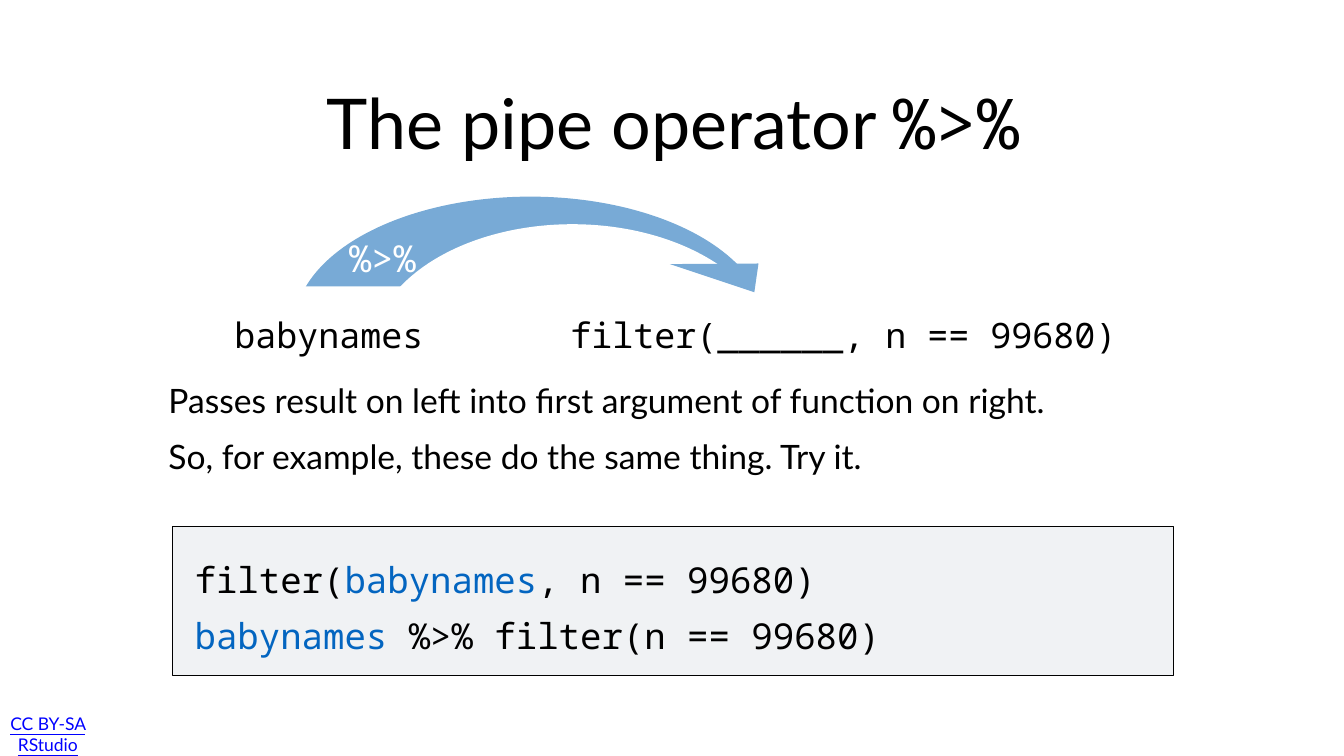
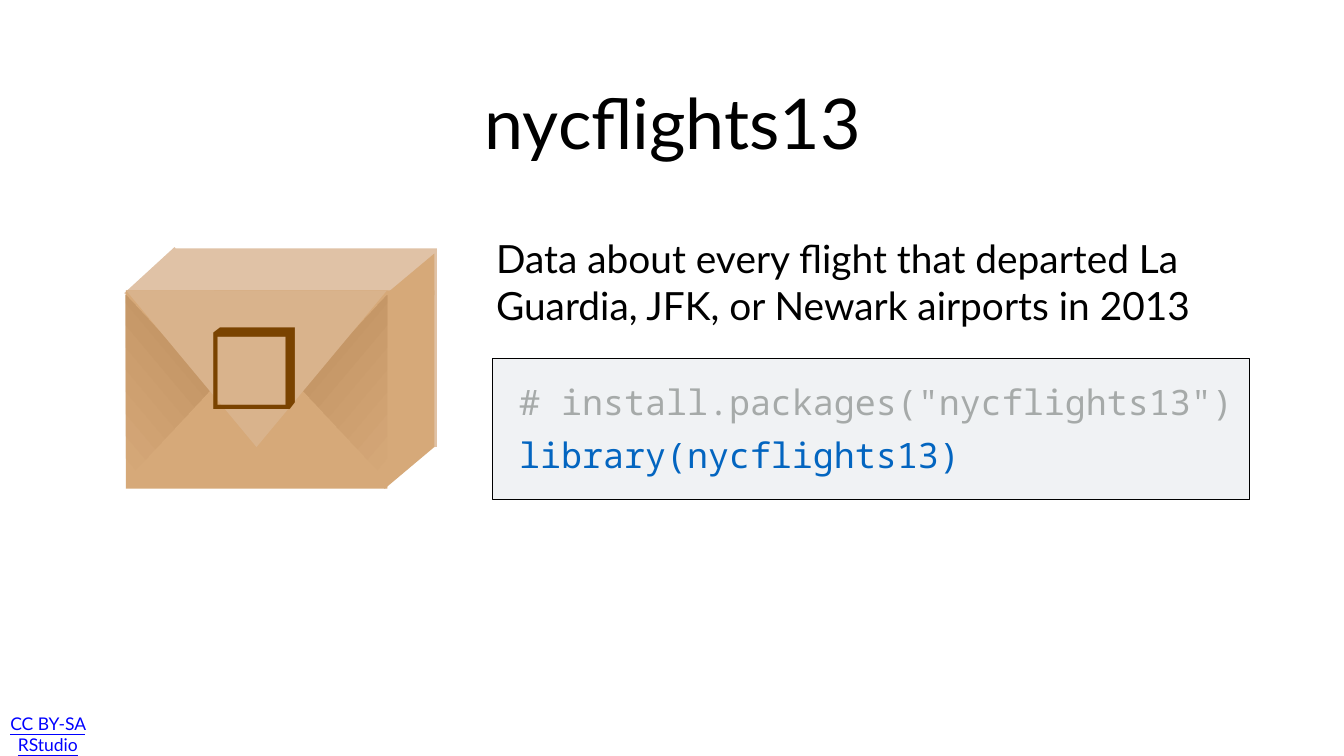
from lxml.etree import SubElement
from pptx import Presentation
from pptx.dml.color import RGBColor
from pptx.enum.shapes import MSO_SHAPE
from pptx.enum.text import MSO_ANCHOR, MSO_AUTO_SIZE, PP_ALIGN
from pptx.oxml.ns import qn
from pptx.util import Cm, Pt

HUES = {
    "ink": "000000", "white": "FFFFFF", "link": "0000FF",
    "arc": "78AAD6", "panel": "F0F2F4", "blue": "0365C0", "gray": "A6AAA9",
    "lid": "E0C2A6", "card": "D6A979", "flap": "D9B38C", "shade": "BD8E5E",
    "mark": "7A4300",
}
SANS = "Lato"
MONO = "Noto Sans Mono"


def hue(name):
    return RGBColor.from_string(HUES[name])


class Deck:
    def __init__(self):
        self.file = Presentation()
        self.file.slide_width = Cm(67.74)
        self.file.slide_height = Cm(38.1)
        self.slide = None

    def page(self, title):
        self.slide = self.file.slides.add_slide(self.file.slide_layouts[1])
        self.text((0, 36.22, 4.83, 1.52), [[("CC BY-SA RStudio", "link")]], 25,
                  align=PP_ALIGN.CENTER, under=True)
        self.place(self.slide.shapes.title, (11.18, 2.79, 45.47, 6.65),
                   [title], 100, align=PP_ALIGN.CENTER)

    def body(self, at, line, size):
        self.place(self.slide.placeholders[1], at, [[(line, "ink")]], size)

    def place(self, holder, at, lines, size, **style):
        holder.element.getparent().append(holder.element)
        holder.left, holder.top, holder.width, holder.height = map(Cm, at)
        self.fill_text(holder.text_frame, lines, size, **style)
        for para in holder.text_frame.paragraphs:
            props = para._p.get_or_add_pPr()
            props.set("marL", "0")
            props.set("indent", "0")
            SubElement(props, qn("a:buNone"))

    def text(self, at, lines, size, tab=None, **style):
        box = self.slide.shapes.add_textbox(*map(Cm, at))
        self.fill_text(box.text_frame, lines, size, **style)
        if tab:
            props = box.text_frame.paragraphs[0]._p.get_or_add_pPr()
            stops = SubElement(props, qn("a:tabLst"))
            SubElement(stops, qn("a:tab"), pos=str(Cm(tab)), algn="l")

    def fill_text(self, frame, lines, size, font=SANS, align=PP_ALIGN.LEFT,
                  anchor=MSO_ANCHOR.MIDDLE, gap=0, pitch=1.0, under=False):
        frame.word_wrap = True
        frame.auto_size = MSO_AUTO_SIZE.NONE
        frame.vertical_anchor = anchor
        frame.margin_left = frame.margin_right = Cm(0.18)
        frame.margin_top = frame.margin_bottom = Cm(0.18)
        for row, line in enumerate(lines):
            para = frame.add_paragraph() if row else frame.paragraphs[0]
            para.alignment = align
            para.space_before = Pt(gap if row else 0)
            para.line_spacing = pitch
            for words, tint, *face in line:
                run = para.add_run()
                run.text = words
                run.font.name = face[0] if face else font
                run.font.size = Pt(size)
                run.font.color.rgb = hue(tint)
                run.font.underline = under

    def shape(self, at, fill, kind=MSO_SHAPE.RECTANGLE, edge=None, turn=0):
        item = self.slide.shapes.add_shape(kind, *map(Cm, at))
        item.rotation = turn
        self.paint(item, fill, edge)

    def tri(self, points, fill, angle=None):
        start, *rest = [(Cm(x), Cm(y)) for x, y in points]
        form = self.slide.shapes.build_freeform(*start)
        form.add_line_segments(rest, close=True)
        item = form.convert_to_shape()
        self.paint(item, fill)
        if angle is not None:
            item.fill.gradient()
            item.fill.gradient_angle = angle
            for stop, name in zip(item.fill.gradient_stops, (fill, "shade")):
                stop.color.rgb = hue(name)

    def paint(self, item, fill, edge=None):
        item.shadow.inherit = False
        item.fill.solid()
        item.fill.fore_color.rgb = hue(fill)
        if edge:
            item.line.color.rgb = hue(edge)
            item.line.width = Pt(1)
        else:
            item.line.fill.background()

    def code(self, frame, at, lines, size, **style):
        self.shape(frame, "panel", edge="ink")
        self.text(at, lines, size, font=MONO, **style)


def pipe(deck):
    deck.page([("The pipe operator ", "ink"), ("%>%", "ink", MONO)])
    deck.shape((14.83, 9.91, 23.8, 13.13), "arc", MSO_SHAPE.OVAL)
    deck.shape((18.69, 11.3, 20.32, 13.13), "white", MSO_SHAPE.OVAL)
    deck.shape((12.75, 14.43, 29.13, 8.28), "white")
    deck.tri([(33.76, 13.31), (38.23, 13.28), (38.02, 14.73)], "arc")
    deck.text((17.42, 11.61, 5.46, 2.72), [[("%>%", "white")]], 53, font=MONO)
    deck.text((11.63, 15.54, 47, 2.62),
              [[("babynames\tfilter(______, n == 99680)", "ink")]],
              50, tab=16.94, font=MONO)
    deck.body((8.31, 16.64, 50.44, 7.01),
              "Passes result on left into first argument of function on right.", 48)
    deck.code((8.69, 26.52, 50.44, 7.54), (9.63, 27.43, 47.83, 5.72), [
        [("filter(", "ink"), ("babynames", "blue"), (", n == 99680)", "ink")],
        [("babynames", "blue"), (" %>% filter(n == 99680)", "ink")],
    ], 51, pitch=1.3)
    deck.text((8.31, 21.44, 50.44, 3.1),
              [[("So, for example, these do the same thing. Try it.", "ink")]], 48)


def crate(deck):
    deck.shape((8.84, 12.52, 13.18, 10), "lid")
    deck.shape((8.71, 14.63, 13.18, 7.9), "card")
    deck.shape((6.93, 13.18, 3.43, 3.3), "lid", turn=317.5)
    deck.tri([(19.38, 22.53), (21.89, 22.53), (19.38, 24.64)], "card")
    deck.shape((6.35, 14.63, 13.18, 10), "card")
    for side, tip, angle in ((19.51, 15.16, 140), (6.35, 10.69, 40)):
        deck.tri([(side, 14.88), (side, 24.23), (tip, 19.56)], "card", angle)
    deck.tri([(6.35, 14.63), (19.51, 14.63), (12.93, 22.53)], "flap")
    deck.tri([(21.89, 14.88), (19.38, 14.88), (21.89, 12.78)], "card")
    deck.text((5.21, 12.93, 15.27, 11.23), [[("❒", "mark")]], 150,
              font="Arial", align=PP_ALIGN.CENTER)


def flights(deck):
    deck.page([("nycflights13", "ink")])
    deck.body((24.82, 11.2, 38.2, 5.99),
              "Data about every flight that departed La Guardia, JFK, "
              "or Newark airports in 2013", 55.5)
    deck.code((24.82, 18.08, 38.15, 7.09), (25.98, 19, 36.88, 5.64), [
        [('# install.packages("nycflights13")', "gray")],
        [("library(nycflights13)", "blue")],
    ], 50, anchor=MSO_ANCHOR.TOP, gap=15)
    crate(deck)


def main():
    deck = Deck()
    pipe(deck)
    flights(deck)
    deck.file.save("out.pptx")


if __name__ == "__main__":
    main()
